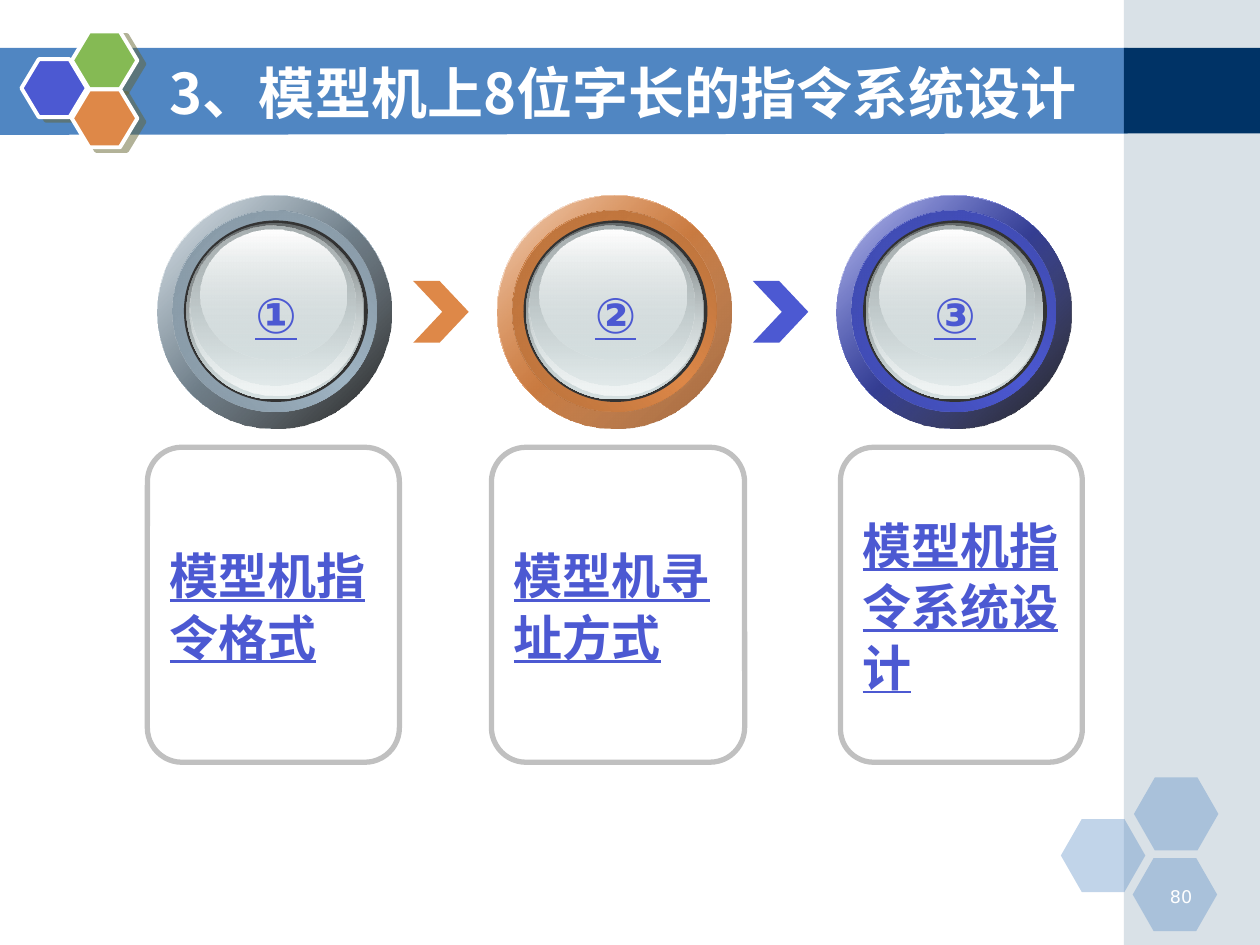
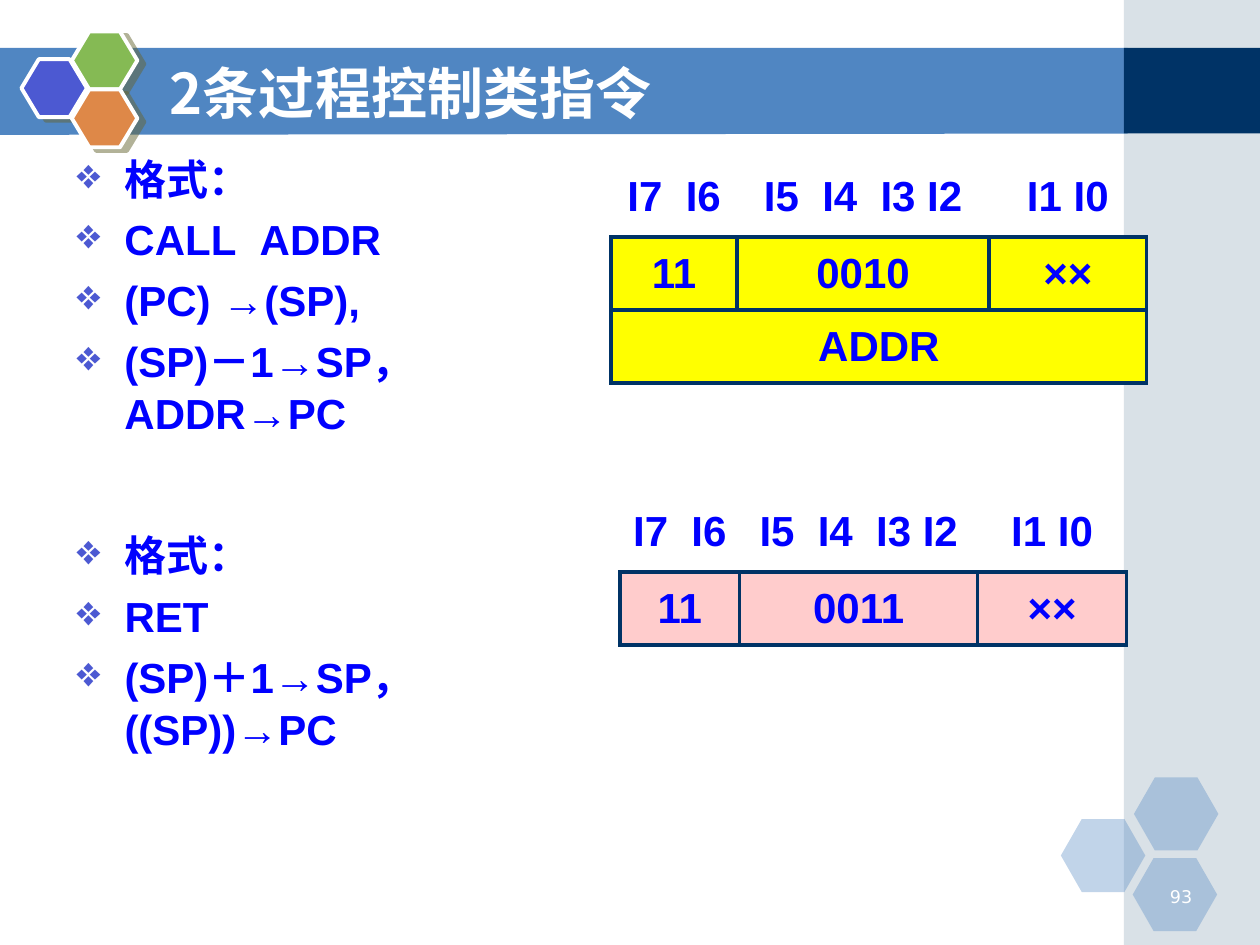
from lxml.etree import SubElement
from pptx import Presentation
from pptx.dml.color import RGBColor
from pptx.enum.shapes import MSO_SHAPE as SHAPE
from pptx.enum.text import MSO_ANCHOR as ANCHOR, PP_ALIGN as ALIGN
from pptx.oxml.ns import qn
from pptx.util import Inches, Pt

# Palette
WHITE = RGBColor(0xFF, 0xFF, 0xFF)
BLACK = RGBColor(0x00, 0x00, 0x00)
BAND = RGBColor(0x50, 0x86, 0xC2)
NAVY = RGBColor(0x00, 0x33, 0x66)
STEEL = RGBColor(0xA0, 0xB5, 0xC4)
INDIGO = RGBColor(0x4C, 0x59, 0xD2)
GREEN = RGBColor(0x85, 0xBA, 0x54)
ORANGE = RGBColor(0xDE, 0x88, 0x48)
BROWN = RGBColor(0x9F, 0x61, 0x34)
OLIVE = RGBColor(0x66, 0x66, 0x33)
SILVER = RGBColor(0xC0, 0xC0, 0xC0)
BLUE = RGBColor(0x00, 0x00, 0xFF)
YELLOW = RGBColor(0xFF, 0xFF, 0x00)
PINK = RGBColor(0xFF, 0xCC, 0xCC)
CHARCOAL = RGBColor(0x33, 0x33, 0x33)
GLASS = RGBColor(0xD6, 0xE1, 0xE2)
GLASS_DARK = RGBColor(0x63, 0x68, 0x69)
GLASS_MID = RGBColor(0xAA, 0xB2, 0xB3)
GLASS_LIGHT = RGBColor(0xF1, 0xF5, 0xF5)

ARIAL, CJK, SANS = "Arial", "Noto Sans CJK SC", "DejaVu Sans"
COLS, ROWS = 100, 75
WIDE_SPACE = 667  # extra width of a lone space run, 1/100 pt


def shade(color, share):
    return RGBColor(*(round(c * share) for c in color))


def add_color(parent, color, alpha=100):
    clr = SubElement(parent, qn("a:srgbClr"), val=str(color))
    if alpha < 100:
        SubElement(clr, qn("a:alpha"), val=str(alpha * 1000))


class Deck:
    def __init__(self):
        self.prs = Presentation()
        self.prs.slide_width, self.prs.slide_height = Inches(10), Inches(7.5)
        self.col = self.prs.slide_width / COLS
        self.row = self.prs.slide_height / ROWS
        self.s = None

    def box(self, x, y, w, h):
        return [round(v) for v in (x * self.col, y * self.row,
                                   w * self.col, h * self.row)]

    # Fills and shapes
    def paint(self, sp, color, alpha=100):
        sp.fill.solid()
        sp.fill.fore_color.rgb = color
        if alpha < 100:
            clr = sp._element.spPr.find(qn("a:solidFill"))[0]
            SubElement(clr, qn("a:alpha"), val=str(alpha * 1000))

    def gradient(self, sp, angle, stops):
        sp.fill.gradient()
        grad = sp._element.spPr.find(qn("a:gradFill"))
        gs_list = grad.find(qn("a:gsLst"))
        for gs in list(gs_list):
            gs_list.remove(gs)
        for i, stop in enumerate(stops):
            pos = 100000 * i // (len(stops) - 1)
            add_color(SubElement(gs_list, qn("a:gs"), pos=str(pos)), *stop)
        grad.find(qn("a:lin")).set("ang", str(angle * 60000))

    def shape(self, kind, at, fill=None, alpha=100, line=None, width=0, adj=None):
        sp = self.s.shapes.add_shape(kind, *self.box(*at))
        sp.shadow.inherit = False
        if adj is not None:
            sp.adjustments[0] = adj
        if fill is None:
            sp.fill.background()
        else:
            self.paint(sp, fill, alpha)
        if line is None:
            sp.line.fill.background()
        else:
            sp.line.color.rgb = line
            sp.line.width = Pt(width)
        return sp

    def drop_shadow(self, sp):
        effects = sp._element.spPr.find(qn("a:effectLst"))
        shadow = SubElement(effects, qn("a:outerShdw"), blurRad="0",
                            dist=str(Pt(4.5)), dir=str(27 * 60000),
                            algn="ctr", rotWithShape="0")
        add_color(shadow, OLIVE, 50)

    # Text
    def add_runs(self, p, runs, size, color, face=ARIAL, ea=ARIAL, bold=True,
                 underline=False, align=ALIGN.LEFT):
        p.alignment = align
        for text in runs:
            r = p.add_run()
            r.text = text
            r.font.size, r.font.bold, r.font.name = Pt(size), bold, face
            r.font.color.rgb = color
            if underline:
                r.font.underline = True
            rpr = r._r.get_or_add_rPr()
            SubElement(rpr, qn("a:ea"), typeface=ea)
            if text == " ":
                rpr.set("spc", str(WIDE_SPACE))

    def text(self, at, runs, size, color, anchor=ANCHOR.TOP, wrap=True, **style):
        tf = self.s.shapes.add_textbox(*self.box(*at)).text_frame
        tf.word_wrap, tf.vertical_anchor = wrap, anchor
        self.add_runs(tf.paragraphs[0], runs, size, color, **style)

    def bullets(self, at, items):
        tf = self.s.shapes.add_textbox(*self.box(*at)).text_frame
        tf.word_wrap = True
        for i, runs in enumerate(items):
            p = tf.add_paragraph() if i else tf.paragraphs[0]
            ppr = p._p.get_or_add_pPr()
            ppr.set("marL", str(Inches(0.38)))
            ppr.set("indent", str(-Inches(0.38)))
            add_color(SubElement(ppr, qn("a:buClr")), INDIGO)
            SubElement(ppr, qn("a:buChar"), char="❖")
            p.line_spacing = 1.04
            if i:
                p.space_before = Pt(4.8)
            self.add_runs(p, runs, 24, BLUE)

    # Instruction format table: bit labels above filled code rows
    def format_table(self, x, y, widths, code_rows, fill):
        heights = [6.3] + [5.8] * len(code_rows)
        rows = [(("I7", " ", "I6"), ("I5", " ", "I4", " ", "I3 I2"), ("I1 I0",))]
        rows += [[(code,) for code in codes] for codes in code_rows]
        at = self.box(x, y, sum(widths), sum(heights))
        table = self.s.shapes.add_table(len(rows), len(widths), *at).table
        table.first_row = table.horz_banding = False
        for c, width in enumerate(widths):
            table.columns[c].width = round(width * self.col)
        for r, height in enumerate(heights):
            table.rows[r].height = round(height * self.row)
            for c in range(len(widths)):
                cell = table.cell(r, c)
                self.borders(cell, "LRTB" if r else "B")
                if r:
                    cell.fill.solid()
                    cell.fill.fore_color.rgb = fill
                else:
                    cell.fill.background()
                cell.vertical_anchor = ANCHOR.MIDDLE
                cell.margin_left = cell.margin_right = Inches(0.02)
                cell.margin_top = cell.margin_bottom = Inches(0.02)
            for c, runs in enumerate(rows[r]):
                p = table.cell(r, c).text_frame.paragraphs[0]
                self.add_runs(p, runs, 24, BLUE, align=ALIGN.CENTER)
            if len(rows[r]) == 1:
                table.cell(r, 0).merge(table.cell(r, len(widths) - 1))

    def borders(self, cell, sides):
        tcpr = cell._tc.get_or_add_tcPr()
        for side in "LRTB":
            ln = SubElement(tcpr, qn(f"a:ln{side}"), w=str(Pt(2.25)))
            if side in sides:
                add_color(SubElement(ln, qn("a:solidFill")), NAVY)
            else:
                SubElement(ln, qn("a:noFill"))

    # Shared frame: bands, hexagons, page number, title
    def new_slide(self, title, page):
        self.s = self.prs.slides.add_slide(self.prs.slide_layouts[6])
        corners = [self.box(x, y, 0, 0)[:2] for x, y in
                   ((-0.1, 3.8), (89.5, 3.8), (89.5, 10.6), (-0.1, 10.7))]
        outline = self.s.shapes.build_freeform(*corners[0])
        outline.add_line_segments(corners[1:], close=True)
        band = outline.convert_to_shape()
        band.shadow.inherit = False
        self.paint(band, BAND)
        band.line.fill.background()
        self.shape(SHAPE.RECTANGLE, (89.2, 0, 10.8, 75), STEEL, 40)
        self.shape(SHAPE.RECTANGLE, (89.2, 3.8, 10.8, 6.8), NAVY)
        for x, y in ((84.2, 65), (90, 61.7), (89.9, 68.1)):
            self.shape(SHAPE.HEXAGON, (x, y, 6.7, 5.8), BAND, 35, adj=0.286)
        for x, y, color in ((1.7, 4.7, INDIGO), (5.7, 2.5, GREEN), (5.7, 7.1, ORANGE)):
            sp = self.shape(SHAPE.HEXAGON, (x, y, 5.2, 4.6), color,
                            line=WHITE, width=2.25, adj=0.3)
            self.drop_shadow(sp)
        self.text((90.6, 69.8, 5, 2.5), [page], 10, WHITE, face=SANS,
                  bold=False, align=ALIGN.RIGHT)
        self.text((12.5, 4.2, 78.5, 6.2), [title], 32, WHITE, ANCHOR.MIDDLE,
                  face=CJK, ea=CJK)

    # Glossy round dial: a metal ring, a dark rim and a glass button
    def dial(self, x, label, accent, deep):
        y = 15.5
        rim, bevel = shade(accent, 0.77), shade(accent, 0.82)
        layers = [
            (0, 0, 18.6, 18.5, 45, [(WHITE,), (accent,), (WHITE,)]),
            (0, 0, 18.6, 18.5, 45, [(accent, 32), deep]),
            (1.2, 1.2, 16.2, 16, 315, [(rim,), (accent,), (rim,)]),
            (1.2, 1.2, 16.2, 16, 45, [(bevel,), (accent, 0)]),
            (2.1, 2, 14.6, 14.4, 0, [(CHARCOAL,)]),
            (2.3, 2.2, 14.1, 14, 90, [(GLASS_DARK,), (GLASS,)]),
            (2.5, 2.3, 13.8, 13.6, 90, [(GLASS, 0), (GLASS_LIGHT,)]),
            (2.6, 2.4, 13.1, 12.7, 90, [(GLASS_MID,), (GLASS, 48)]),
            (3.4, 2.7, 11.6, 10.3, 90, [(WHITE,), (GLASS, 38)]),
        ]
        for dx, dy, w, h, angle, stops in layers:
            sp = self.shape(SHAPE.OVAL, (x + dx, y + dy, w, h), stops[0][0])
            if len(stops) > 1:
                self.gradient(sp, angle, stops)
        self.text((x + 6.45, 22.1, 5.9, 5.7), [label], 28, INDIGO, wrap=False,
                  underline=True, align=ALIGN.CENTER)

    def card(self, x, w, label):
        sp = self.shape(SHAPE.ROUNDED_RECTANGLE, (x, 35.5, w, 25),
                        line=SILVER, width=3, adj=0.137)
        tf = sp.text_frame
        tf.word_wrap, tf.vertical_anchor = True, ANCHOR.MIDDLE
        p = tf.paragraphs[0]
        p.line_spacing = 1.04
        self.add_runs(p, [label], 28, INDIGO, underline=True)


def main():
    deck = Deck()

    # Slide 1: three steps
    deck.new_slide("3、模型机上8位字长的指令系统设计", "80")
    steps = [
        ("①", STEEL, (BLACK, 90), 11.7, 20, "模型机指令格式"),
        ("②", ORANGE, (BROWN,), 39, 20.1, "模型机寻址方式"),
        ("③", INDIGO, (BLACK, 90), 66.7, 19.2, "模型机指令系统设计"),
    ]
    pitch = 26.95
    for i, (number, accent, deep, card_x, card_w, label) in enumerate(steps):
        deck.card(card_x, card_w, label)
        deck.dial(12.5 + i * pitch, number, accent, deep)
        if i:
            deck.shape(SHAPE.CHEVRON, (32.8 + (i - 1) * pitch, 22.3, 4.4, 4.9),
                       accent, adj=0.525)

    # Slide 2: CALL and RET formats
    deck.new_slide("2条过程控制类指令", "93")
    deck.bullets((5.1, 11.5, 40, 24.4), [
        ["格式："], ["CALL", " ", "ADDR"], ["(PC) →(SP),"], ["(SP)－1→SP，ADDR→PC"]])
    deck.format_table(48.5, 12.5, (10, 20, 12.5),
                      [("11", "0010", "××"), ("ADDR",)], YELLOW)
    deck.bullets((5.1, 41.4, 37.8, 21.3), [
        ["格式："], ["RET"], ["(SP)＋1→SP，((SP))→PC"]])
    deck.format_table(49.2, 39.1, (9.5, 18.9, 11.8), [("11", "0011", "××")], PINK)

    deck.prs.save("out.pptx")


if __name__ == "__main__":
    main()
